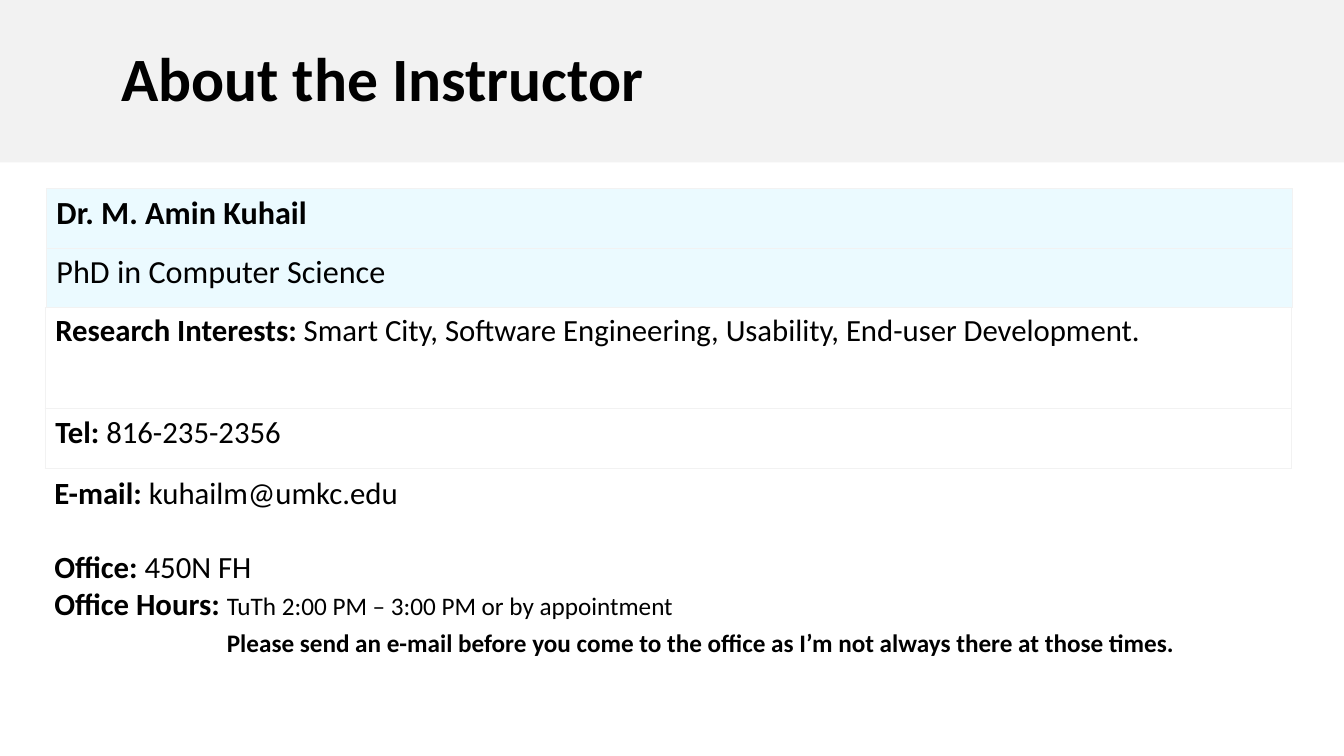
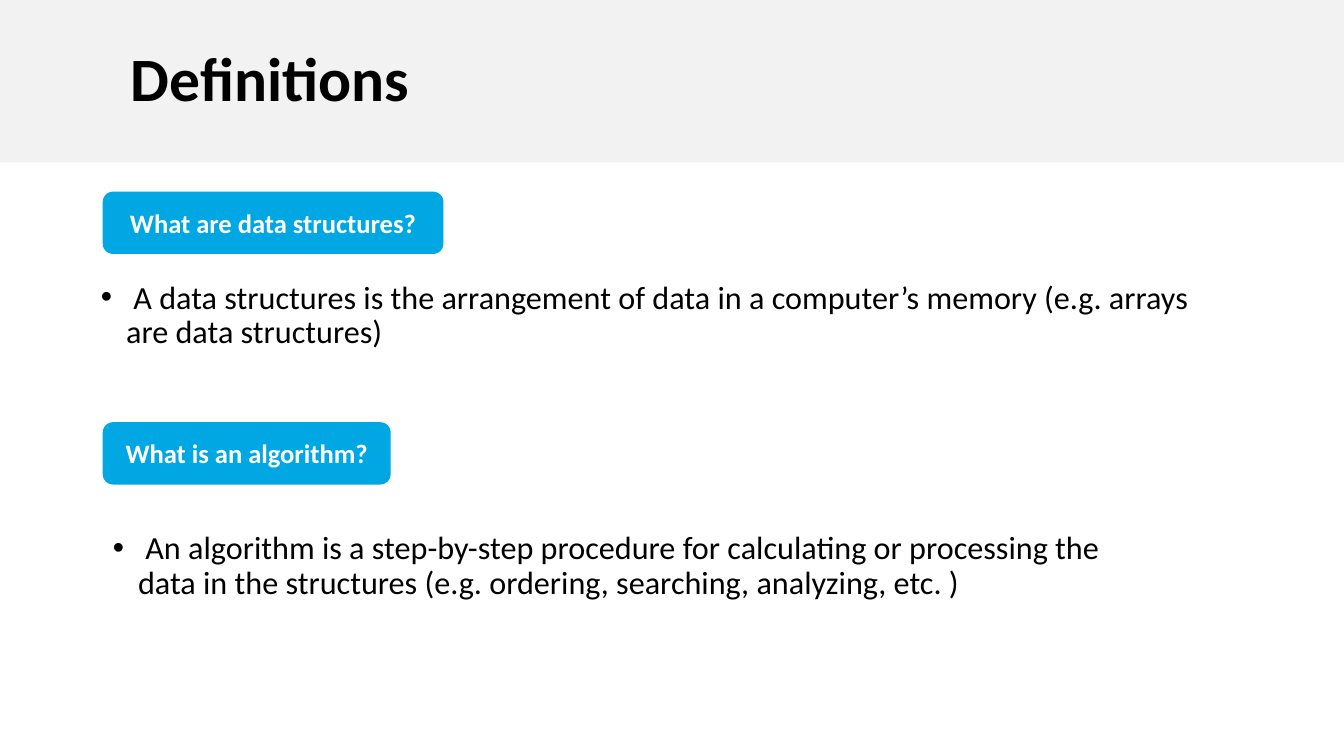
import pptx
import pptx.util
import pptx.dml.color
import pptx.enum.shapes
import pptx.enum.text
from dataclasses import dataclass
from lxml import etree
from pptx.util import Cm, Pt


@dataclass(frozen=True)
class Theme:
    font: str = "Calibri"
    ink: str = "000000"
    paper: str = "FFFFFF"
    band: str = "F2F2F2"
    tint: str = "EBFAFF"
    accent: str = "00A7E2"
    title: float = 44
    lead: float = 23
    text: float = 22
    label: float = 19
    small: float = 18


theme = Theme()
rgb = pptx.dml.color.RGBColor.from_string
anchors = pptx.enum.text.MSO_ANCHOR
alignments = pptx.enum.text.PP_ALIGN
no_fit = pptx.enum.text.MSO_AUTO_SIZE.NONE
drawing = "http://schemas.openxmlformats.org/drawingml/2006/main"


def add_span(para, text, size, bold=False, color=theme.ink):
    span = para.add_run()
    span.text = text
    span.font.name = theme.font
    span.font.size = Pt(size)
    span.font.bold = bold
    span.font.color.rgb = rgb(color)


def add_page(layout, heading, inset):
    page = deck.slides.add_slide(deck.slide_layouts[layout])
    title = page.shapes.title
    title.left, title.top = Cm(0), Cm(0)
    title.width, title.height = deck.slide_width, Cm(4.09)
    title.fill.solid()
    title.fill.fore_color.rgb = rgb(theme.band)
    frame = title.text_frame
    frame.auto_size = no_fit
    frame.vertical_anchor = anchors.MIDDLE
    frame.margin_left = Cm(inset)
    para = frame.paragraphs[0]
    para.alignment = alignments.LEFT
    para.line_spacing = 0.9
    add_span(para, heading, theme.title, True)
    return page


deck = pptx.Presentation()
deck.slide_width, deck.slide_height = Cm(33.88), Cm(19.05)

page = add_page(5, "About the Instructor", 3.06)

profile_tables = [
    (1.17, 1.5, theme.tint, theme.lead, [("Dr. M. Amin Kuhail", ""), ("", "PhD in Computer Science")]),
    (1.14, 2.55, None, theme.text, [
        ("Research Interests: ", "Smart City, Software Engineering, Usability, End-user Development."),
    ]),
    (1.14, 1.5, None, theme.text, [("Tel: ", "816-235-2356")]),
]
top = 4.75
for left, row_height, fill, size, rows in profile_tables:
    height = row_height * len(rows)
    table = page.shapes.add_table(len(rows), 1, Cm(left), Cm(top), Cm(31.4), Cm(height)).table
    table.first_row = table.horz_banding = False
    for index, (label, value) in enumerate(rows):
        cell = table.cell(index, 0)
        para = cell.text_frame.paragraphs[0]
        for text, bold in ((label, True), (value, False)):
            if text:
                add_span(para, text, size, bold)
        properties = cell._tc.get_or_add_tcPr()
        for side in ("lnL", "lnR", "lnT", "lnB"):
            line = etree.SubElement(properties, f"{{{drawing}}}{side}", w=str(Pt(0.45)))
            solid = etree.SubElement(line, f"{{{drawing}}}solidFill")
            etree.SubElement(solid, f"{{{drawing}}}srgbClr", val=theme.band)
        if fill:
            cell.fill.solid()
            cell.fill.fore_color.rgb = rgb(fill)
        else:
            cell.fill.background()
    top += height

contact = page.shapes.add_textbox(Cm(1.12), Cm(top), Cm(31.6), Cm(4.93)).text_frame
contact.word_wrap = True
contact_lines = [
    ("E-mail: ", "kuhailm@umkc.edu", theme.text, 0),
    ("Office: ", "450N FH", theme.text, 27),
    ("Office Hours: ", "TuTh 2:00 PM – 3:00 PM or by appointment", theme.small, 0),
]
for index, (label, value, size, gap) in enumerate(contact_lines):
    para = contact.add_paragraph() if index else contact.paragraphs[0]
    para.space_before = Pt(gap)
    add_span(para, label, theme.text, True)
    add_span(para, value, size)
para = contact.add_paragraph()
para.space_before = Pt(4)
para._p.get_or_add_pPr().set("marL", str(Cm(4.35)))
add_span(
    para,
    "Please send an e-mail before you come to the office as I’m not always there at those times.",
    theme.small,
    True,
)

page = add_page(3, "Definitions", 3.3)

definitions = [
    ("What are data structures?", 4.83, 8.59, (2.29, 6.96, 29.21, 2.62),
     " A data structures is the arrangement of data in a computer’s memory (e.g. arrays are data structures)"),
    ("What is an algorithm?", 10.64, 7.26, (2.59, 13.28, 25.93, 2.01),
     " An algorithm is a step-by-step procedure for calculating or processing the data in the structures "
     "(e.g. ordering, searching, analyzing, etc. )"),
]
for index, (question, top, width, bounds, answer) in enumerate(definitions, 1):
    body = page.placeholders[index]
    body.left, body.top, body.width, body.height = map(Cm, bounds)
    body.text_frame.auto_size = no_fit
    para = body.text_frame.paragraphs[0]
    para.line_spacing = 0.9
    para.space_before = Pt(0)
    indents = para._p.get_or_add_pPr()
    indents.set("marL", str(Pt(18)))
    indents.set("indent", str(-Pt(18)))
    add_span(para, answer, theme.lead)

    button = page.shapes.add_shape(
        pptx.enum.shapes.MSO_SHAPE.ROUNDED_RECTANGLE, Cm(2.59), Cm(top), Cm(width), Cm(1.57)
    )
    button.shadow.inherit = False
    button.fill.solid()
    button.fill.fore_color.rgb = rgb(theme.accent)
    button.line.fill.background()
    button.text_frame.vertical_anchor = anchors.MIDDLE
    para = button.text_frame.paragraphs[0]
    para.alignment = alignments.CENTER
    add_span(para, question, theme.label, True, theme.paper)

deck.save("out.pptx")
